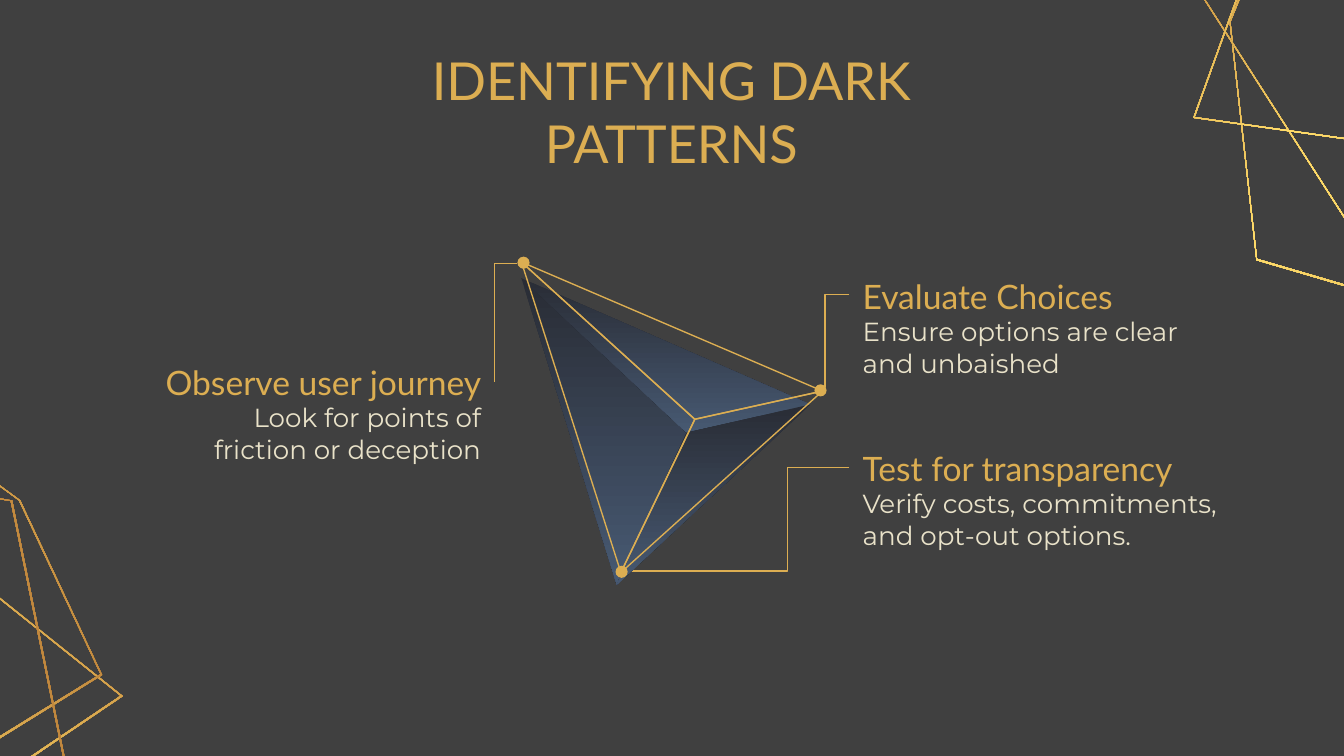
from math import cos, radians, sin

from lxml import etree
from pptx import Presentation
from pptx.dml.color import RGBColor
from pptx.enum.shapes import MSO_CONNECTOR, MSO_SHAPE
from pptx.enum.text import MSO_ANCHOR, MSO_AUTO_SIZE, PP_ALIGN
from pptx.oxml.ns import qn
from pptx.util import Inches, Pt

ELBOW = MSO_CONNECTOR.ELBOW
OVAL = MSO_SHAPE.OVAL
NO_AUTOFIT = MSO_AUTO_SIZE.NONE
TOP, MIDDLE = MSO_ANCHOR.TOP, MSO_ANCHOR.MIDDLE
LEFT, CENTER, RIGHT = PP_ALIGN.LEFT, PP_ALIGN.CENTER, PP_ALIGN.RIGHT

CHARCOAL = RGBColor(0x40, 0x40, 0x40)
GOLD = RGBColor(0xDC, 0xAE, 0x52)
CREAM = RGBColor(0xE9, 0xE2, 0xC9)
BRONZE = RGBColor(0xAF, 0x71, 0x32)
BRIGHT_GOLD = RGBColor(0xFF, 0xDD, 0x6B)
NIGHT = RGBColor(0x29, 0x2C, 0x35)
SLATE = RGBColor(0x47, 0x59, 0x72)

METAL = [(0, BRONZE), (50, BRIGHT_GOLD), (100, GOLD)]
SHADE = [(0, NIGHT), (100, SLATE)]
RIBBON = 0.01


def add_outline(shapes, contours, stops=None):
    """Add closed contours in inches as one freeform, with a downward gradient if stops are given."""
    contours = [[(Inches(x), Inches(y)) for x, y in contour] for contour in contours]
    builder = shapes.build_freeform(*contours[0][0])
    for number, contour in enumerate(contours):
        if number:
            builder.move_to(*contour[0])
        builder.add_line_segments(contour[1:], close=True)
    shape = builder.convert_to_shape()
    shape.shadow.inherit = False
    shape.fill.background()
    if stops:
        shape.line.fill.background()
        gradient = etree.Element(qn("a:gradFill"), rotWithShape="1")
        stop_list = etree.SubElement(gradient, qn("a:gsLst"))
        for percent, color in stops:
            stop = etree.SubElement(stop_list, qn("a:gs"), pos=str(percent * 1000))
            etree.SubElement(stop, qn("a:srgbClr"), val=str(color))
        etree.SubElement(gradient, qn("a:lin"), ang="5400000", scaled="0")
        properties = shape._element.spPr
        properties.replace(properties.find(qn("a:noFill")), gradient)
    else:
        shape.line.color.rgb = GOLD
        shape.line.width = Pt(0.75)
    return shape


def write_text(box, text, size, font, color, align, anchor):
    frame = box.text_frame
    settings = {"word_wrap": True, "auto_size": NO_AUTOFIT, "vertical_anchor": anchor}
    for side in ("left", "right", "top", "bottom"):
        settings["margin_" + side] = Inches(0.1)
    for name, value in settings.items():
        setattr(frame, name, value)
    para = frame.paragraphs[0]
    para.alignment = align
    span = para.add_run()
    span.text = text
    for name, value in {"size": Pt(size), "name": font, "bold": False}.items():
        setattr(span.font, name, value)
    span.font.color.rgb = color


deck = Presentation()
deck.slide_width = Inches(10)
deck.slide_height = deck.slide_width * 9 // 16
slide = deck.slides.add_slide(deck.slide_layouts[5])
slide.background.fill.solid()
slide.background.fill.fore_color.rgb = CHARCOAL

# Corner polygons: centre, rotation and corners as seen after rotation
corner_polygons = [
    ((-2.09, 4.68), 56, [(-4.12, 5.61), (-2.52, 2.43), (0.92, 5.18), (-0.62, 6.22)]),
    ((9.93, 0.87), 307.4, [(10.5, 2.27), (9.34, 1.93), (9.14, 0.15), (9.5, -0.73),
                           (10.07, -0.56), (11.28, 0.72)]),
    ((10.26, 0.58), 307.4, [(11.15, 1.79), (10.32, 2.11), (8.96, -0.01), (9.84, -1.23),
                            (11.1, 0.56)]),
    ((10.16, 0.15), 307.4, [(11.15, 1.2), (8.87, 0.88), (9.84, -1.81), (10.8, -1.08)]),
    ((-1.47, 3.88), 79.8, [(-3.63, 3.08), (-2.06, 2.11), (0.15, 3.73), (0.76, 5.03),
                           (0, 5.5), (-2.7, 5.55)]),
    ((-1.91, 4.59), 79.8, [(-4.17, 4.34), (-3.68, 3.07), (0.1, 3.72), (0.56, 5.97),
                           (-2.75, 5.54)]),
]
for (center_x, center_y), rotation, corners in corner_polygons:
    c, s = cos(radians(rotation)), sin(radians(rotation))
    offsets = [(x - center_x, y - center_y) for x, y in corners]
    upright = [(x * c + y * s, y * c - x * s) for x, y in offsets]
    reach = sum(abs(x) + abs(y) for x, y in upright) / len(upright)
    contours = [[(center_x + x * scale, center_y + y * scale) for x, y in upright]
                for scale in (1, 1 - RIBBON / (reach * 0.6))]
    add_outline(slide.shapes, contours, METAL).rotation = rotation

title = slide.shapes.title
title.left, title.top, title.width, title.height = map(Inches, (2.18, 0.59, 5.63, 0.47))
write_text(title, "IDENTIFYING DARK PATTERNS", 28, "Lato", GOLD, CENTER, MIDDLE)

callouts = [
    (6.32, 2.01, 2.61, LEFT, "Evaluate Choices", "Ensure options are clear and unbaished"),
    (1.07, 2.65, 2.61, RIGHT, "Observe user journey",
     "Look for points of friction or deception"),
    (6.32, 3.29, 2.95, LEFT, "Test for transparency",
     "Verify costs, commitments, and opt-out options."),
]
for left, top, width, align, heading, detail in callouts:
    box = slide.shapes.add_textbox(Inches(left), Inches(top), Inches(2.61), Inches(0.38))
    write_text(box, heading, 18, "Lato", GOLD, align, MIDDLE)
    box = slide.shapes.add_textbox(Inches(left), Inches(top + 0.24), Inches(width), Inches(0.64))
    write_text(box, detail, 14, "Montserrat", CREAM, align, TOP)

# Leaders: one bend, or two bends at a share of the width
leaders = [
    ((3.85, 1.96, 3.68, 2.84), None),
    ((6.32, 2.19, 6.14, 2.88), None),
    ((6.32, 3.48, 4.67, 4.25), 0.28),
]
for ends, bend in leaders:
    leader = slide.shapes.add_connector(ELBOW, *map(Inches, ends))
    leader.line.color.rgb = GOLD
    leader.line.width = Pt(0.75)
    properties = leader._element.spPr
    etree.SubElement(properties, qn("a:effectLst"))
    geometry = properties.find(qn("a:prstGeom"))
    if bend is None:
        geometry.set("prst", "bentConnector2")
    else:
        etree.SubElement(geometry.find(qn("a:avLst")), qn("a:gd"),
                         name="adj1", fmla=f"val {round(bend * 100000)}")

# Pyramid: corners in the order top, bottom, right, apex
prism = slide.shapes.add_group_shape().shapes
shaded_corners = [(3.88, 2.07), (4.59, 4.35), (6.03, 3.01), (5.11, 3.22)]
wire_corners = [(3.88, 1.95), (4.62, 4.26), (6.12, 2.91), (5.17, 3.12)]
for corners, stops in ((shaded_corners, SHADE), (wire_corners, None)):
    top, bottom, right, apex = corners
    for face in ((top, bottom, apex), (top, apex, right), (right, apex, bottom)):
        add_outline(prism, [face], stops)

for left, top in ((4.58, 4.21), (3.85, 1.91), (6.06, 2.86)):
    dot = prism.add_shape(OVAL, Inches(left), Inches(top), Inches(0.09), Inches(0.09))
    dot.shadow.inherit = False
    dot.fill.solid()
    dot.fill.fore_color.rgb = GOLD
    dot.line.fill.background()

deck.save("out.pptx")
